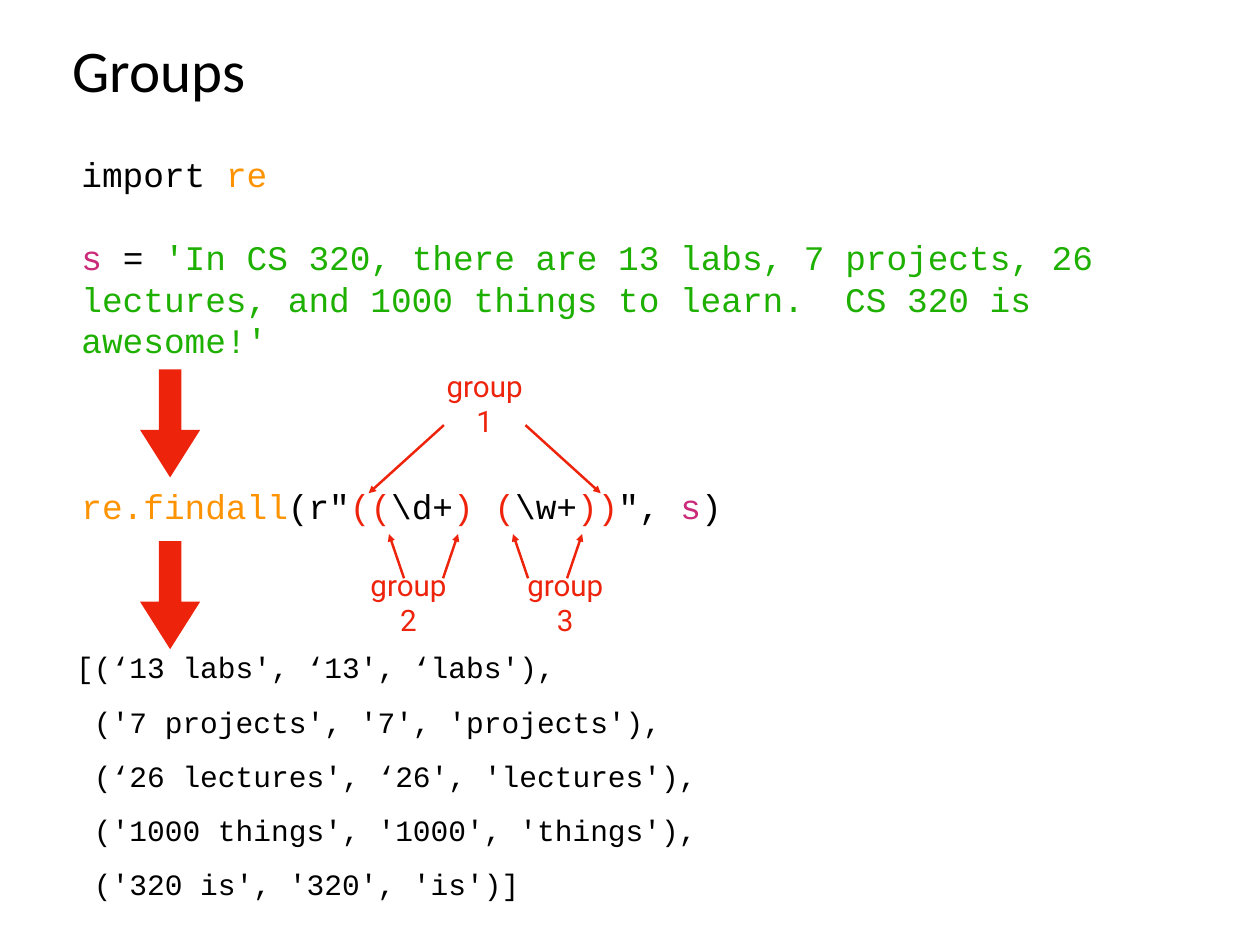
from lxml.etree import SubElement
from pptx import Presentation
from pptx.dml.color import RGBColor
from pptx.enum.shapes import MSO_CONNECTOR as Connector, MSO_SHAPE as Shape
from pptx.enum.text import MSO_ANCHOR as Anchor, PP_ALIGN as Align
from pptx.oxml.ns import qn
from pptx.util import Inches, Pt

BLACK = RGBColor(0x00, 0x00, 0x00)
RED = RGBColor(0xEE, 0x23, 0x0C)
ORANGE = RGBColor(0xFE, 0x93, 0x01)
PINK = RGBColor(0xCB, 0x2A, 0x7A)
GREEN = RGBColor(0x1E, 0xB0, 0x01)
CODE_FONT, LABEL_FONT, TITLE_FONT = "Courier New", "Roboto", "Calibri"
CODE_LINE = 33.7

# Content: each line is a list of (text, colour) pieces
TITLE = "Groups"
SETUP_CODE = [
    [("import ", BLACK), ("re", ORANGE)],
    [("s", PINK), (" = ", BLACK),
     ("'In CS 320, there are 13 labs, 7 projects, 26 lectures, "
      "and 1000 things to learn.  CS 320 is awesome!'", GREEN)],
]
FINDALL_CODE = [
    [("re.findall", ORANGE), ("(r\"", BLACK), ("((", RED), ("\\d+", BLACK),
     (") (", RED), ("\\w+", BLACK), ("))", RED), ("\", ", BLACK),
     ("s", PINK), (")", BLACK)],
]
RESULTS = [
    "[(‘13 labs', ‘13', ‘labs'),",
    " ('7 projects', '7', 'projects'),",
    " (‘26 lectures', ‘26', 'lectures'),",
    " ('1000 things', '1000', 'things'),",
    " ('320 is', '320', 'is')]",
]
# label, label left and top, arrow axis, half widths at start and end, start y, end y
GROUPS = [
    ("group 1", 4.85, 4.3, 5.47, 0.46, 1.31, 4.8, 5.57),
    ("group 2", 3.99, 6.55, 4.78, 0.22, 0.39, 6.53, 6.03),
    ("group 3", 5.76, 6.55, 6.18, 0.22, 0.39, 6.53, 6.03),
]
STEP_ARROW_TOPS = [4.17, 6.11]


def set_frame(frame, anchor, wrap):
    frame.margin_left = frame.margin_right = Inches(0.06)
    frame.margin_top = frame.margin_bottom = Inches(0.06)
    frame.vertical_anchor = anchor
    frame.word_wrap = wrap


def add_run(paragraph, text, font_name, size, colour):
    run = paragraph.add_run()
    run.text = text
    run.font.name, run.font.size = font_name, Pt(size)
    run.font.color.rgb = colour


def add_text(slide, box, lines, font_name, size, anchor=Anchor.TOP, wrap=True,
             align=Align.LEFT, line_height=None, gap=0):
    frame = slide.shapes.add_textbox(*map(Inches, box)).text_frame
    set_frame(frame, anchor, wrap)
    for index, pieces in enumerate(lines):
        paragraph = frame.add_paragraph() if index else frame.paragraphs[0]
        paragraph.alignment = align
        if line_height:
            paragraph.line_spacing = Pt(line_height)
        if index and gap:
            paragraph.space_before = Pt(gap)
        for text, colour in pieces:
            add_run(paragraph, text, font_name, size, colour)


def add_arrow(slide, start, end):
    arrow = slide.shapes.add_connector(Connector.STRAIGHT,
                                       *map(Inches, start + end))
    arrow.line.color.rgb = RED
    arrow.line.width = Pt(2)
    SubElement(arrow.line._get_or_add_ln(), qn("a:tailEnd"), type="triangle")
    SubElement(arrow._element.spPr, qn("a:effectLst"))


def add_step_arrow(slide, top):
    shape = slide.shapes.add_shape(Shape.DOWN_ARROW, Inches(1.58), Inches(top),
                                   Inches(0.68), Inches(1.22))
    shape.adjustments[0], shape.adjustments[1] = 0.372, 0.79
    shape.shadow.inherit = False
    shape.fill.solid()
    shape.fill.fore_color.rgb = RED
    shape.line.fill.background()


def main():
    presentation = Presentation()
    presentation.slide_width = Inches(14.22)
    presentation.slide_height = Inches(10.67)
    slide = presentation.slides.add_slide(presentation.slide_layouts[5])

    # Title
    title = slide.shapes.title
    title.left, title.top = Inches(0.76), Inches(0.28)
    title.width, title.height = Inches(12.66), Inches(0.99)
    set_frame(title.text_frame, Anchor.MIDDLE, True)
    paragraph = title.text_frame.paragraphs[0]
    paragraph.alignment = Align.LEFT
    add_run(paragraph, TITLE, TITLE_FONT, 48, BLACK)

    # Code and its results
    add_text(slide, (0.86, 1.67, 12.32, 2.47), SETUP_CODE, CODE_FONT, 28,
             line_height=CODE_LINE, gap=CODE_LINE)
    add_text(slide, (0.86, 5.42, 7.61, 0.58), FINDALL_CODE, CODE_FONT, 28,
             line_height=CODE_LINE)
    add_text(slide, (0.8, 7.08, 7.17, 3.14), [[(line, BLACK)] for line in RESULTS],
             CODE_FONT, 24, Anchor.MIDDLE, wrap=False, line_height=44)

    # Block arrows between the steps
    for top in STEP_ARROW_TOPS:
        add_step_arrow(slide, top)

    # Group labels, each with a mirrored pair of arrows to its parentheses
    for label, left, top, axis, start_half, end_half, start_y, end_y in GROUPS:
        add_text(slide, (left, top, 1.24, 0.5), [[(label, RED)]], LABEL_FONT, 24,
                 Anchor.MIDDLE, wrap=False, align=Align.CENTER)
        for side in (-1, 1):
            add_arrow(slide, (axis + side * start_half, start_y),
                      (axis + side * end_half, end_y))

    presentation.save("out.pptx")


if __name__ == "__main__":
    main()
